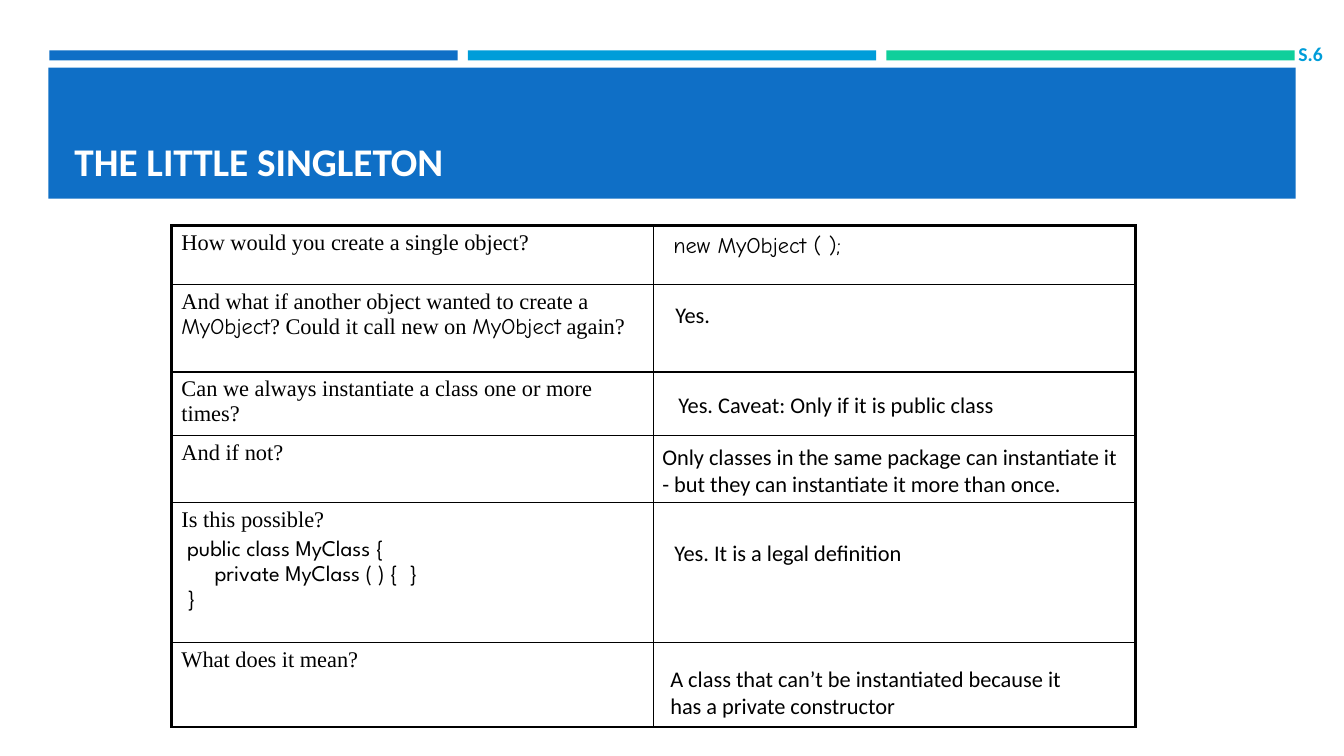
from lxml import etree
from pptx import Presentation
from pptx.dml.color import RGBColor
from pptx.enum.shapes import MSO_SHAPE
from pptx.enum.text import MSO_ANCHOR, MSO_AUTO_SIZE, PP_ALIGN
from pptx.oxml.ns import qn
from pptx.util import Pt

RECT = MSO_SHAPE.RECTANGLE
BOTTOM, MIDDLE = MSO_ANCHOR.BOTTOM, MSO_ANCHOR.MIDDLE
RIGHT = PP_ALIGN.RIGHT
GROW = MSO_AUTO_SIZE.SHAPE_TO_FIT_TEXT

# Content
SANS, SERIF, COMIC, CODE = "Calibri", "Times New Roman", "Comic Neue", "League Spartan"
BLUE, SKY, GREEN, WHITE, BLACK = "0F6FC6", "009DD9", "10CF9B", "FFFFFF", "000000"
TITLE = "THE LITTLE SINGLETON"
PAGE = "S.6"

# One entry per table row: height, then paragraphs made of (text, font) runs
QUESTIONS = [
    (58, [[("How would you create a single object?", SERIF)]]),
    (87, [[("And what if another object wanted to create a ", SERIF),
           ("MyObject", COMIC),
           ("? Could it call new on ", SERIF),
           ("MyObject", COMIC),
           (" again?", SERIF)]]),
    (61, [[("Can we always instantiate a class one or more times?", SERIF)]]),
    (66, [[("And if not?", SERIF)]]),
    (139, [[("Is this possible?", SERIF)],
           [(" ", SERIF), ("public class MyClass {", CODE)],
           [("      private MyClass ( ) {  }", CODE)],
           [(" }", CODE)]]),
    (84, [[("What does it mean?", SERIF)]]),
]

# Text, font, (left, top, width, height), wraps
ANSWERS = [
    ("new MyObject ( );", COMIC, (658, 224, 207, 41), False),
    ("Yes.", SANS, (660, 294, 60, 37), False),
    ("Yes. Caveat: Only if it is public class", SANS, (663, 383, 351, 37), False),
    ("Only classes in the same package can instantiate it - but they can "
     "instantiate it more than once.", SANS, (647, 435, 479, 64), True),
    ("Yes. It is a legal definition", SANS, (659, 530, 256, 37), False),
    ("A class that can’t be instantiated because it has a private constructor",
     SANS, (655, 655, 416, 64), True),
]

# Layout, 100 px to the inch
PX = 9144
SLIDE_W, SLIDE_H = 1333, 750
BAR_LEFT, BAR_TOP, BAR_W, BAR_H, BAR_STEP = 49, 50, 405, 10, 415
TABLE_LEFT, TABLE_TOP, COL_W = 170, 224, 478
THICK, THIN = 2.25, 1


def emu(*lengths):
    return [n * PX for n in lengths]


def color(hex_string):
    return RGBColor.from_string(hex_string)


def style(run, font, size=16, fill=BLACK, bold=False):
    run.font.name = font
    run.font.size = Pt(size)
    run.font.bold = bold
    run.font.color.rgb = color(fill)


def add_block(box, fill):
    sp = slide.shapes.add_shape(RECT, *emu(*box))
    sp.shadow.inherit = False
    sp.fill.solid()
    sp.fill.fore_color.rgb = color(fill)
    sp.line.fill.background()


def add_text(text, box, font, wrap=True, **look):
    tf = slide.shapes.add_textbox(*emu(*box)).text_frame
    tf.word_wrap = wrap
    tf.text = text
    style(tf.paragraphs[0].runs[0], font, **look)
    return tf


def set_borders(cell, widths):
    tc_pr = cell._tc.get_or_add_tcPr()
    for side, width in zip("LRTB", widths):
        ln = etree.SubElement(tc_pr, qn("a:ln" + side), w=str(Pt(width)))
        fill = etree.SubElement(ln, qn("a:solidFill"))
        etree.SubElement(fill, qn("a:srgbClr"), val=BLACK)


prs = Presentation()
prs.slide_width, prs.slide_height = emu(SLIDE_W, SLIDE_H)
slide = prs.slides.add_slide(prs.slide_layouts[6])

# Coloured bars and title band
for i, fill in enumerate([BLUE, SKY, GREEN]):
    add_block((BAR_LEFT + i * BAR_STEP, BAR_TOP, BAR_W, BAR_H), fill)
add_block((48, 67, 1237, 130), BLUE)
tf = add_text(TITLE, (64, 77, 1206, 111), SANS, size=28, fill=WHITE, bold=True)
tf.vertical_anchor = BOTTOM

# Page number
tf = add_text(PAGE, (1269, 43, 53, 21), SANS, wrap=False, size=14, fill=SKY, bold=True)
tf.vertical_anchor = MIDDLE
tf.paragraphs[0].alignment = RIGHT

# Table of questions, with a thick outer frame
heights = [height for height, _ in QUESTIONS]
last = len(QUESTIONS) - 1
table = slide.shapes.add_table(
    len(QUESTIONS), 2, *emu(TABLE_LEFT, TABLE_TOP, 2 * COL_W, sum(heights))).table
table.first_row = table.horz_banding = False
for col in table.columns:
    col.width = COL_W * PX
for r, (height, paragraphs) in enumerate(QUESTIONS):
    table.rows[r].height = height * PX
    for c in range(2):
        cell = table.cell(r, c)
        set_borders(cell, [THICK if c == 0 else THIN, THICK if c == 1 else THIN,
                           THICK if r == 0 else THIN, THICK if r == last else THIN])
        cell.fill.background()
    tf = table.cell(r, 0).text_frame
    for i, runs in enumerate(paragraphs):
        p = tf.add_paragraph() if i else tf.paragraphs[0]
        if i:
            p.space_before = Pt(3.2)
        for text, font in runs:
            run = p.add_run()
            run.text = text
            style(run, font)

# Answers laid over the right column
for text, font, box, wrap in ANSWERS:
    add_text(text, box, font, wrap).auto_size = GROW

prs.save("out.pptx")
